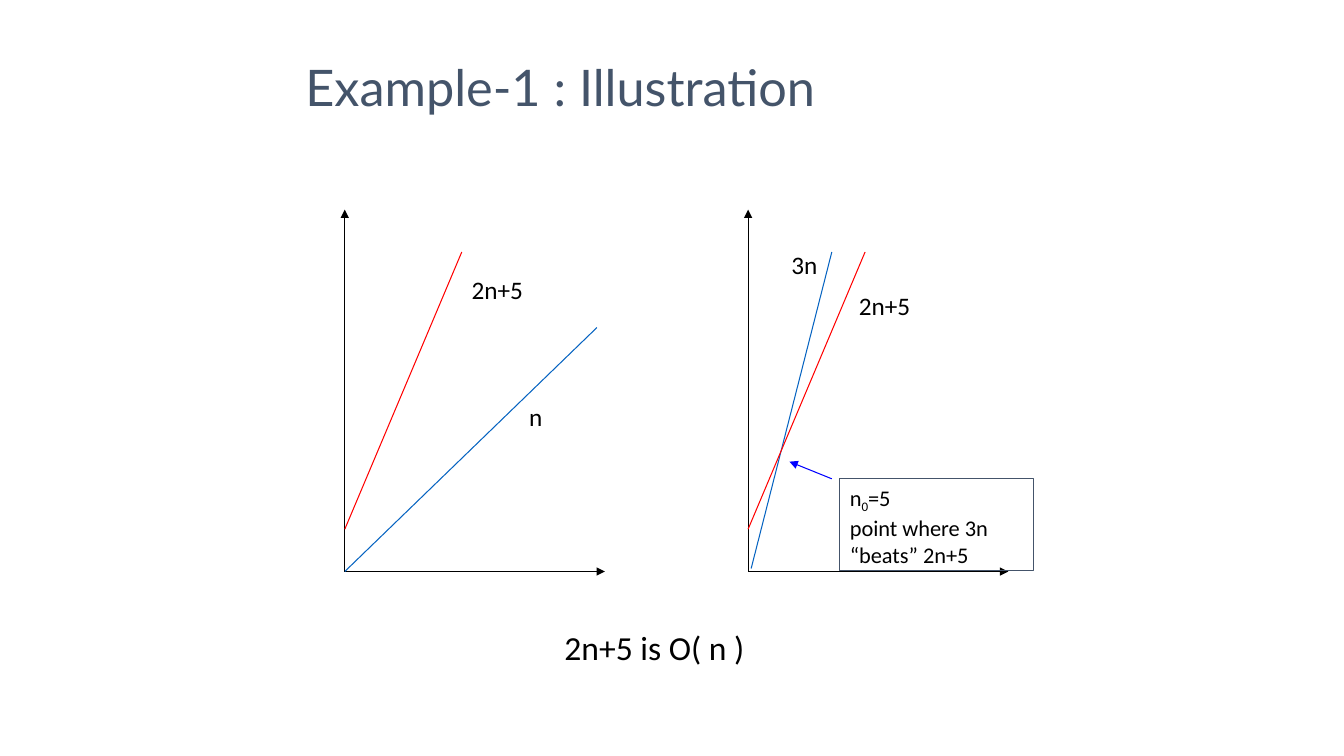
from lxml import etree
from pptx import Presentation
from pptx.dml.color import RGBColor
from pptx.enum import shapes, text
from pptx.oxml import ns
from pptx.util import Inches, Pt

BLACK = RGBColor(0x00, 0x00, 0x00)
SLATE = RGBColor(0x44, 0x54, 0x6A)
BLUE = RGBColor(0x05, 0x63, 0xC1)
RED = RGBColor(0xFF, 0x00, 0x00)
POINTER_BLUE = RGBColor(0x00, 0x00, 0xFF)

# Content: curves run from start to end, measured right and up from the origin
TITLE = "Example-1 : Illustration"
CONCLUSION = "2n+5 is O( n )"
NOTE = [[("n", False), ("0", True), ("=5", False)],
        [("point where 3n\v“beats” 2n+5", False)]]
ORIGIN_Y = 5.67
AXIS_WIDTH, AXIS_HEIGHT = 2.58, 3.59
RED_CURVE = ((0, 0.42), (1.16, 3.17), RED)
GRAPHS = [
    {"origin_x": 3.42,
     "curves": [((0, 0), (2.5, 2.42), BLUE), RED_CURVE],
     "labels": [("2n+5", 4.58, 2.67, 0.72), ("n", 5.15, 3.93, 0.34)]},
    {"origin_x": 7.42,
     "curves": [((0.03, 0.03), (0.83, 3.17), BLUE), RED_CURVE],
     "labels": [("2n+5", 8.42, 2.83, 0.72), ("3n", 7.75, 2.42, 0.46)]},
]

deck = Presentation()
deck.slide_width, deck.slide_height = Inches(13.33), Inches(7.5)
page = deck.slides.add_slide(deck.slide_layouts[6])


def add_line(start, end, color, arrow=False):
    line = page.shapes.add_connector(
        shapes.MSO_CONNECTOR.STRAIGHT, *map(Inches, (*start, *end)))
    line.line.color.rgb = color
    line.line.width = Pt(0.75)
    if arrow:
        etree.SubElement(line.line._get_or_add_ln(),
                         ns.qn("a:tailEnd"), type="triangle")
    etree.SubElement(line._element.spPr, ns.qn("a:effectLst"))


def style(para, size, color=BLACK, font="Calibri"):
    para.alignment = text.PP_ALIGN.LEFT
    para.font.name = font
    para.font.size = Pt(size)
    para.font.color.rgb = color


def add_text(words, left, top, width, height, size, wrap=False, **look):
    box = page.shapes.add_textbox(*map(Inches, (left, top, width, height)))
    box.text_frame.word_wrap = wrap
    para = box.text_frame.paragraphs[0]
    para.text = words
    style(para, size, **look)
    return box


# Axes, curves and their labels
for graph in GRAPHS:
    def place(point):
        return graph["origin_x"] + point[0], ORIGIN_Y - point[1]

    for tip in ((0, AXIS_HEIGHT), (AXIS_WIDTH, 0)):
        add_line(place((0, 0)), place(tip), BLACK, arrow=True)
    for start, end, color in graph["curves"]:
        add_line(place(start), place(end), color)
    for words, left, top, width in graph["labels"]:
        add_text(words, left, top, width, 0.4, 18)

# Note on the crossing point, with its pointer
note = page.shapes.add_shape(shapes.MSO_SHAPE.RECTANGLE,
                             *map(Inches, (8.33, 4.75, 1.92, 0.91)))
note.shadow.inherit = False
note.fill.background()
note.line.color.rgb = SLATE
note.line.width = Pt(0.75)
frame = note.text_frame
frame.word_wrap = True
frame.vertical_anchor = text.MSO_ANCHOR.TOP
for index, spans in enumerate(NOTE):
    para = frame.add_paragraph() if index else frame.paragraphs[0]
    style(para, 16)
    for words, subscript in spans:
        if "\v" in words:
            first, second = words.split("\v")
            para.add_run().text = first
            para.add_line_break()
            words = second
        span = para.add_run()
        span.text = words
        if subscript:
            span._r.get_or_add_rPr().set("baseline", "-25000")
add_line((8.25, 4.75), (7.83, 4.58), POINTER_BLUE, arrow=True)

# Title and conclusion
title = add_text(TITLE, 2.93, 0.6, 8.52, 0.61, 36, wrap=True,
                 color=SLATE, font="Lato")
title.text_frame.vertical_anchor = text.MSO_ANCHOR.BOTTOM
add_text(CONCLUSION, 5.5, 6.17, 2, 0.5, 24)

deck.save("out.pptx")
